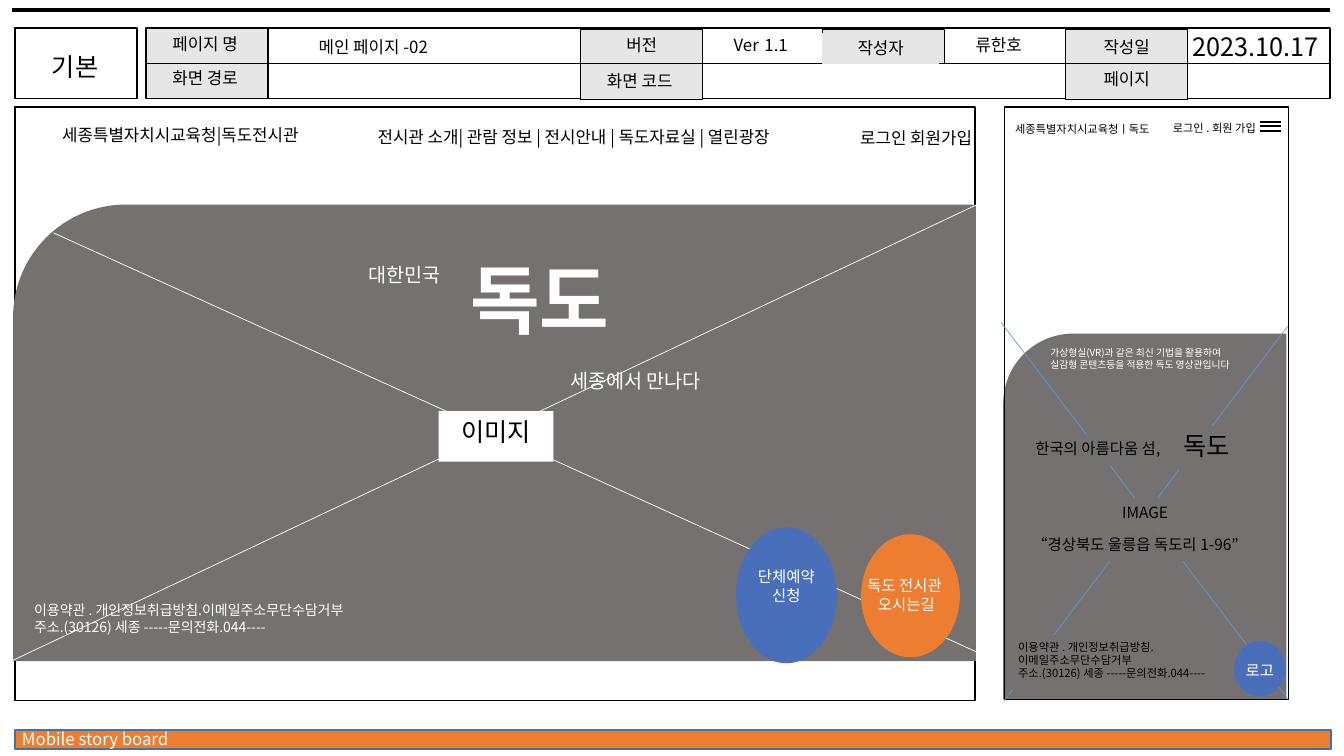
from dataclasses import dataclass

from lxml.etree import SubElement
from pptx import Presentation
from pptx.dml.color import RGBColor
from pptx.enum.shapes import MSO_CONNECTOR as Connector, MSO_SHAPE as Shape
from pptx.enum.text import MSO_ANCHOR as Anchor, MSO_AUTO_SIZE as AutoSize, PP_ALIGN as Align
from pptx.oxml.ns import qn
from pptx.util import Inches, Pt


@dataclass(frozen=True)
class Theme:
    font: str = "Noto Sans CJK KR"
    black: str = "000000"
    white: str = "FFFFFF"
    label: str = "E7E6E6"
    gray: str = "767171"
    orange: str = "ED7D31"
    orange_edge: str = "43739E"
    blue: str = "496FBB"
    guide: str = "5B9BD5"
    caption: float = 7
    small: float = 8
    note: float = 10
    button: float = 11
    body: float = 12
    tagline: float = 14
    large: float = 18
    hero: float = 54


theme = Theme()


def add_block(parent, kind, box, text="", size=theme.body, color=theme.black,
              align=Align.CENTER, fill=None, line=None, width=1, wrap=True):
    place = [Inches(value) for value in box]
    if kind == "text":
        shape = parent.add_textbox(*place)
    elif kind == "title":
        shape = parent.title
        shape.left, shape.top, shape.width, shape.height = place
    else:
        shape = parent.add_shape(kind, *place)
        shape.shadow.inherit = False
    if fill:
        shape.fill.solid()
        shape.fill.fore_color.rgb = RGBColor.from_string(fill)
    else:
        shape.fill.background()
    if line:
        shape.line.color.rgb = RGBColor.from_string(line)
        shape.line.width = Pt(width)
    else:
        shape.line.fill.background()
    if not text:
        return shape
    frame = shape.text_frame
    frame.word_wrap = wrap
    frame.auto_size = AutoSize.SHAPE_TO_FIT_TEXT
    frame.vertical_anchor = Anchor.TOP
    for index, content in enumerate(text.split("\n")):
        paragraph = frame.add_paragraph() if index else frame.paragraphs[0]
        paragraph.alignment = align
        paragraph.line_spacing = 1.0
        paragraph.space_before = Pt(0)
        for part in content.split("\t"):
            run = paragraph.add_run()
            run.text = part
            run.font.name = theme.font
            run.font.size = Pt(size)
            run.font.color.rgb = RGBColor.from_string(color)
            SubElement(run.font._element, qn("a:ea")).set("typeface", theme.font)
    return shape


def add_line(shapes, start, end, color, width):
    connector = shapes.add_connector(Connector.STRAIGHT, *[Inches(value) for value in start + end])
    connector.line.color.rgb = RGBColor.from_string(color)
    connector.line.width = Pt(width)
    SubElement(connector._element.spPr, qn("a:effectLst"))
    return connector


presentation = Presentation()
presentation.slide_width = Inches(13.33)
presentation.slide_height = Inches(7.5)
slide = presentation.slides.add_slide(presentation.slide_layouts[5])
shapes = slide.shapes

add_line(shapes, (0.12, 0.1), (13.19, 0.1), theme.black, 3)
add_block(shapes, Shape.RECTANGLE, (0.15, 7.24, 13.05, 0.19), fill=theme.orange, line=theme.orange_edge)
add_block(shapes, "text", (0.12, 7.18, 3.2, 0.3), "Mobile story board", color=theme.white, align=Align.LEFT)

add_block(shapes, Shape.RECTANGLE, (0.15, 0.28, 1.21, 0.7), line=theme.black)
header = add_block(shapes, Shape.RECTANGLE, (1.45, 0.28, 11.74, 0.7), line=theme.black)
add_block(shapes, Shape.RECTANGLE, (0.15, 1.06, 9.52, 5.89), line=theme.black)
for left, top, height in [(1.45, 0.28, 0.7), (5.76, 0.29, 0.7), (8.16, 0.29, 0.34), (10.57, 0.29, 0.7)]:
    add_block(shapes, Shape.RECTANGLE, (left, top, 1.21, height), fill=theme.label, line=theme.black)
divider = add_line(shapes, (1.45, 0.63), (13.19, 0.63), theme.black, 0.5)
divider.begin_connect(header, 1)
divider.end_connect(header, 3)

add_block(shapes, "text", (0.17, 0.46, 1.15, 0.42), "기본", theme.large)
for left, top, label in [
    (1.46, 0.29, "페이지 명"), (1.46, 0.62, "화면 경로"),
    (5.79, 0.3, "버전"), (5.77, 0.65, "화면 코드"),
    (10.6, 0.32, "작성일"), (10.6, 0.63, "페이지"),
]:
    add_block(shapes, "text", (left, top, 1.15, 0.3), label)
add_block(shapes, Shape.RECTANGLE, (8.16, 0.33, 1.15, 0.3), "작성자", line=theme.label, width=0.75)
add_block(shapes, "text", (8.9, 0.3, 2.01, 0.3), "류한호")
add_block(shapes, "text", (11.45, 0.26, 2.01, 0.4), "2023.10.17", theme.large)
version = add_block(shapes, "text", (6.54, 0.21, 2.01, 0.4), "Ver\t \t1.1")
version.text_frame.paragraphs[0].runs[1].font.size = Pt(theme.large)
add_block(shapes, "title", (3.06, 0.31, 2.3, 0.3), "메인 페이지 -02", align=Align.LEFT)

add_block(shapes, "text", (0.26, 1.19, 3.06, 0.3), "세종특별자치시교육청|독도전시관")
add_block(shapes, "text", (3.37, 1.21, 4.64, 0.3),
          "전시관 소개| 관람 정보 | 전시안내 | 독도자료실 | 열린광장")
add_block(shapes, "text", (5.83, 1.22, 3.91, 0.3), "로그인 회원가입", align=Align.RIGHT)

mobile_image = add_block(shapes, Shape.ROUND_1_RECTANGLE, (9.95, 3.31, 2.81, 3.63), fill=theme.gray)
add_block(shapes, Shape.RECTANGLE, (9.96, 1.06, 2.82, 5.88), line=theme.black)
add_block(shapes, "text", (9.97, 1.16, 1.87, 0.25), "세종특별자치시교육청ㅣ독도", theme.small, align=Align.LEFT)
add_block(shapes, "text", (11.34, 1.15, 1.24, 0.25), "로그인 . 회원 가입 ", theme.small, align=Align.RIGHT)
for menu_y in (1.21, 1.25, 1.3):
    add_line(shapes, (12.5, menu_y), (12.71, menu_y), theme.black, 1)
add_line(shapes, (9.93, 3.2), (12.77, 6.93), theme.guide, 0.5)
add_line(shapes, (12.77, 3.24), (9.96, 6.95), theme.guide, 0.5)
add_block(shapes, "text", (10.32, 3.39, 2.2, 0.36),
          "가상형실(VR)과 같은 최신 기법을 활용하여\n실감형 콘텐츠등을 적용한 독도 영상관입니다",
          theme.caption, theme.white, Align.LEFT)
for box, text, size in [
    ((10.17, 4.31, 1.58, 0.31), "한국의 아름다움 섬,", theme.button),
    ((11.03, 4.94, 0.68, 0.31), "IMAGE", theme.button),
    ((11.64, 4.22, 0.71, 0.44), "독도", theme.large),
    ((10.14, 5.26, 2.34, 0.31), "“경상북도 울릉읍 독도리 1-96”", theme.button),
]:
    add_block(shapes, Shape.RECTANGLE, box, text, size, align=Align.LEFT, fill=theme.gray, wrap=False)

footer = "이용약관 . 개인정보취급방침.이메일주소무단수담거부\n주소.(30126) 세종 -----문의전화.044----"
add_block(shapes, Shape.RECTANGLE, (10, 6.3, 2.19, 0.54), footer, theme.small, align=Align.LEFT, fill=theme.gray)

main_image = add_block(shapes, Shape.ROUND_1_RECTANGLE, (0.13, 2.03, 9.55, 4.53), fill=theme.gray)
for image in (mobile_image, main_image):
    image.adjustments[0] = 0.247
    image._element.spPr.xfrm.set("flipH", "1")
add_block(shapes, Shape.RECTANGLE, (0.24, 5.92, 5.91, 0.55), footer, theme.note, theme.white,
          Align.LEFT, fill=theme.gray)
add_line(shapes, (0.13, 6.55), (9.69, 2.03), theme.white, 0.5)
add_line(shapes, (0.53, 2.31), (9.69, 6.47), theme.white, 0.5)
add_block(shapes, Shape.RECTANGLE, (4.35, 4.08, 1.14, 0.5), "이미지", theme.large, fill=theme.white)
add_block(shapes, "text", (3.39, 2.56, 1.25, 0.42), "대한민국", theme.tagline, theme.white)
hero = add_block(shapes, "text", (4.3, 2.46, 2.11, 1.26), "독도", theme.hero, theme.white)
hero.text_frame.paragraphs[0].runs[0].font.bold = True
add_block(shapes, "text", (5.05, 3.61, 2.51, 0.42), "세종에서 만나다", theme.tagline, theme.white)

for circle, fill, label_box, label in [
    ((12.24, 6.36, 0.51, 0.55), theme.blue, (12.13, 6.51, 0.73, 0.18), "로고"),
    ((7.3, 5.23, 1, 1.35), theme.blue, (7.08, 5.58, 1.44, 0.59), "단체예약\n신청"),
    ((8.54, 5.3, 0.98, 1.22), theme.orange, (8.46, 5.67, 1.06, 0.59), "독도 전시관 \n오시는길"),
]:
    button = shapes.add_group_shape().shapes
    add_block(button, Shape.OVAL, circle, fill=fill)
    add_block(button, "text", label_box, label, theme.button, theme.white)

presentation.save("out.pptx")
